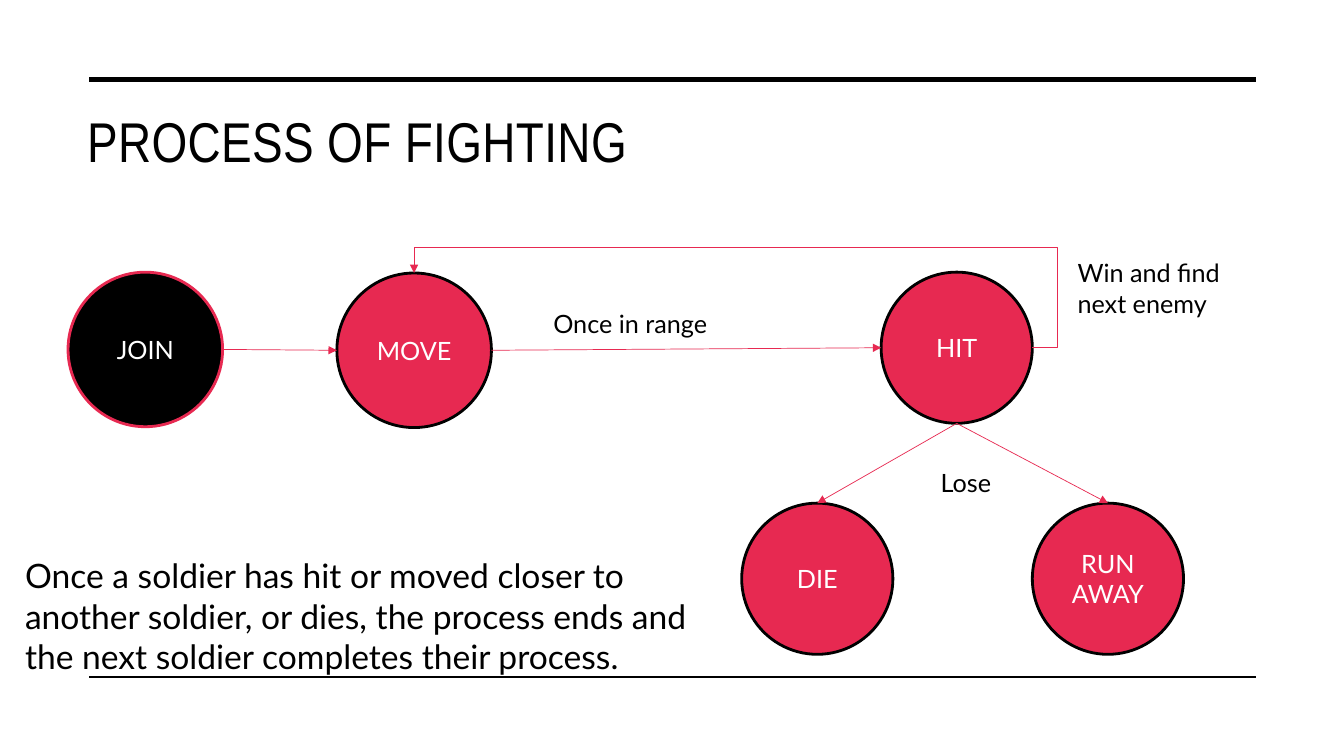
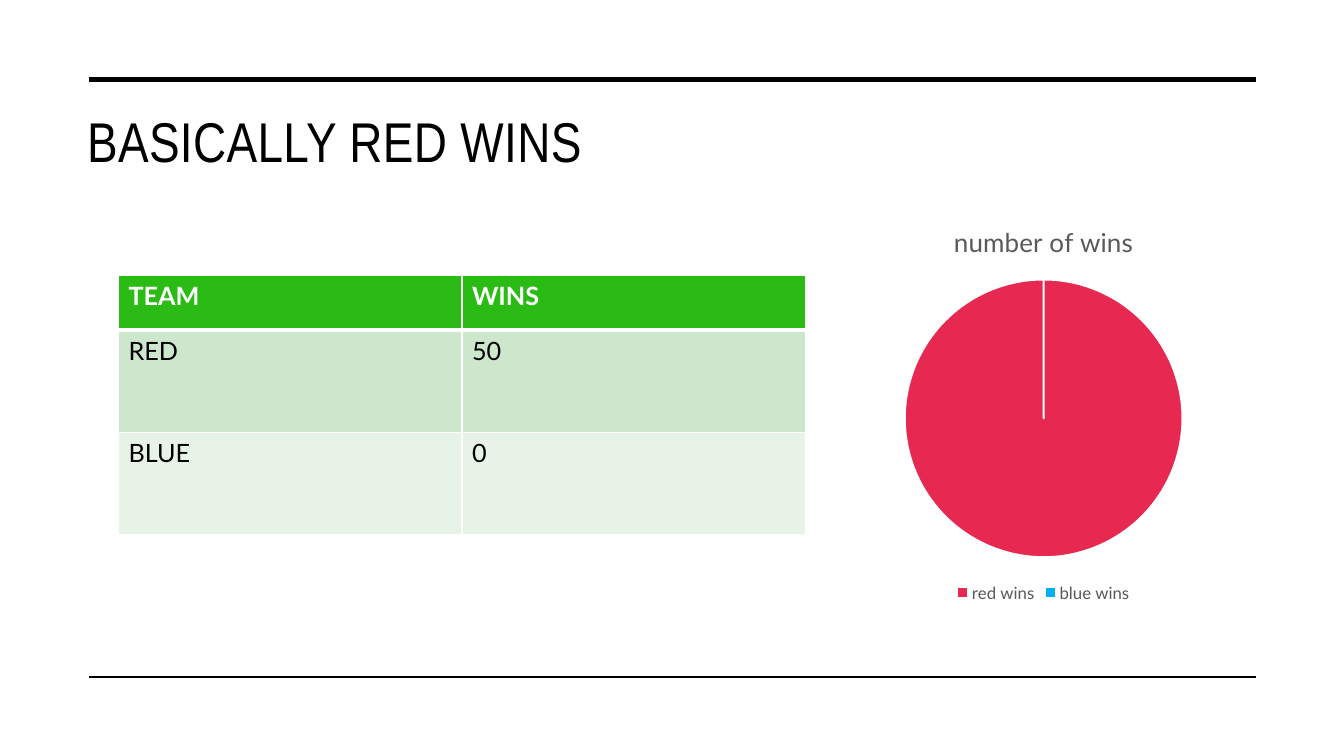
"""Build two slides: a fighting process diagram and its results."""
from dataclasses import dataclass

from lxml.etree import SubElement
from pptx import Presentation
from pptx.chart.data import CategoryChartData
from pptx.dml.color import RGBColor
from pptx.enum.chart import XL_CHART_TYPE as ChartType, XL_LEGEND_POSITION as LegendPosition
from pptx.enum.shapes import MSO_CONNECTOR as Connector, MSO_SHAPE as Shape
from pptx.enum.text import MSO_ANCHOR as Anchor, PP_ALIGN as Align
from pptx.oxml import parse_xml
from pptx.oxml.ns import nsdecls, qn
from pptx.util import Emu, Inches, Pt


@dataclass(frozen=True)
class Theme:
    """Colours, fonts and type sizes."""
    black: str = "000000"
    white: str = "FFFFFF"
    red: str = "E72951"
    blue: str = "00B0F0"
    grey: str = "595959"
    green: str = "2ABC14"
    bands: tuple = ("CDE7CC", "E8F3E7")
    title_font: str = "Arial Narrow"
    body_font: str = "Lato"
    title: float = 40
    lead: float = 24
    body: float = 18
    chart_title: float = 18.6
    legend: float = 12


THEME = Theme()
WIDTH, HEIGHT = Inches(13.333), Inches(7.5)
COLUMNS, ROWS = 16, 9
LEFT, RIGHT = 1.06, 14.95
ELLIPSE_SIDES = {"top": (0, 0.5, 0), "left": (2, 0, 0.5),
                 "bottom": (4, 0.5, 1), "right": (6, 1, 0.5)}


def rgb(colour):
    """Return a colour from its hex digits."""
    return RGBColor.from_string(colour)


def across(columns):
    """Convert grid columns to a length."""
    return Emu(round(columns * WIDTH / COLUMNS))


def down(rows):
    """Convert grid rows to a length."""
    return Emu(round(rows * HEIGHT / ROWS))


def area(left, top, width, height):
    """Convert a grid rectangle to lengths."""
    return across(left), down(top), across(width), down(height)


def style_font(font, size, colour, name=THEME.body_font, bold=False):
    """Set the usual properties of a font."""
    font.size, font.name, font.bold = Pt(size), name, bold
    font.color.rgb = rgb(colour)


def write_text(frame, text, *, size=THEME.body, colour=THEME.black, font=THEME.body_font,
               bold=False, align=Align.LEFT, anchor=Anchor.TOP, spacing=None):
    """Write one formatted paragraph into a text frame."""
    frame.word_wrap = True
    frame.vertical_anchor = anchor
    paragraph = frame.paragraphs[0]
    paragraph.alignment = align
    run = paragraph.add_run()
    run.text = text
    style_font(run.font, size, colour, font, bold)
    if spacing is not None:
        run.font._element.set("spc", str(round(spacing * 100)))


def add_label(slide, text, box, **text_format):
    """Add a text box on the grid."""
    shape = slide.shapes.add_textbox(*area(*box))
    write_text(shape.text_frame, text, **text_format)


def add_line(slide, start, end, colour, weight, kind=Connector.STRAIGHT):
    """Add a line without a shadow."""
    line = slide.shapes.add_connector(kind, *start, *end)
    line.line.color.rgb = rgb(colour)
    line.line.width = Pt(weight)
    SubElement(line._element.spPr, qn("a:effectLst"))
    return line


def add_state(slide, text, centre, diameter, fill=THEME.red, outline=THEME.black):
    """Add a round state around a grid point."""
    column, row = centre
    box = area(column - diameter / 2, row - diameter / 2, diameter, diameter)
    state = slide.shapes.add_shape(Shape.OVAL, *box)
    state.shadow.inherit = False
    state.fill.solid()
    state.fill.fore_color.rgb = rgb(fill)
    state.line.color.rgb = rgb(outline)
    state.line.width = Pt(2)
    write_text(state.text_frame, text, colour=THEME.white,
               align=Align.CENTER, anchor=Anchor.MIDDLE)
    return state


def add_arrow(slide, source, source_side, target, target_side, bends=None):
    """Join two states by an arrow, with optional bends."""
    points, joints = [], []
    for state, side in ((source, source_side), (target, target_side)):
        site, x_share, y_share = ELLIPSE_SIDES[side]
        points.append((Emu(round(state.left + state.width * x_share)),
                       Emu(round(state.top + state.height * y_share))))
        joints.append((state.shape_id, site))
    kind = Connector.ELBOW if bends else Connector.STRAIGHT
    arrow = add_line(slide, *points, THEME.red, 0.5, kind)
    SubElement(arrow.line._get_or_add_ln(), qn("a:tailEnd"), type="triangle")
    links = arrow._element.find(".//" + qn("p:cNvCxnSpPr"))
    for tag, (shape_id, site) in zip(("a:stCxn", "a:endCxn"), joints):
        SubElement(links, qn(tag), id=str(shape_id), idx=str(site))
    if bends:
        geometry = arrow._element.spPr.find(qn("a:prstGeom"))
        geometry.set("prst", "bentConnector4")
        guides = geometry.find(qn("a:avLst"))
        if guides is None:
            guides = SubElement(geometry, qn("a:avLst"))
        for number, share in enumerate(bends, 1):
            SubElement(guides, qn("a:gd"), name=f"adj{number}",
                       fmla=f"val {round(share * 100000)}")


def add_table(slide, rows, corner, column_width, row_heights):
    """Add a banded table with a header row."""
    total = area(*corner, column_width * len(rows[0]), sum(row_heights))
    table = slide.shapes.add_table(len(rows), len(rows[0]), *total).table
    for column in table.columns:
        column.width = across(column_width)
    fills = (THEME.green, *THEME.bands)
    for index, (values, height) in enumerate(zip(rows, row_heights)):
        header = index == 0
        table.rows[index].height = down(height)
        borders = {"L": 1, "R": 1, "T": 3 if index == 1 else 1, "B": 3 if header else 1}
        for cell, value in zip(table.rows[index].cells, values):
            write_text(cell.text_frame, value, bold=header,
                       colour=THEME.white if header else THEME.black)
            cell.fill.solid()
            cell.fill.fore_color.rgb = rgb(fills[index])
            set_borders(cell, borders)


def set_borders(cell, weights):
    """Draw white borders of given weights around a cell."""
    properties = cell._tc.get_or_add_tcPr()
    for position, (side, weight) in enumerate(weights.items()):
        properties.insert(position, parse_xml(
            f'<a:ln{side} {nsdecls("a")} w="{Pt(weight)}"><a:solidFill>'
            f'<a:srgbClr val="{THEME.white}"/></a:solidFill></a:ln{side}>'))


def add_pie(slide, title, values, colours, box):
    """Add a pie chart with a title and a legend."""
    data = CategoryChartData()
    data.categories = list(values)
    data.add_series(title, list(values.values()))
    chart = slide.shapes.add_chart(ChartType.PIE, *area(*box), data).chart
    style_font(chart.font, 10, THEME.black)
    chart.has_title = True
    write_text(chart.chart_title.text_frame, title, size=THEME.chart_title,
               colour=THEME.grey, align=Align.CENTER)
    chart.has_legend = True
    chart.legend.position = LegendPosition.BOTTOM
    chart.legend.include_in_layout = False
    style_font(chart.legend.font, THEME.legend, THEME.grey)
    plot = chart.plots[0]
    plot.vary_by_categories = True
    for index, colour in enumerate(colours):
        slice_format = plot.series[0].points[index].format
        slice_format.fill.solid()
        slice_format.fill.fore_color.rgb = rgb(colour)
        slice_format.line.color.rgb = rgb(THEME.white)
        slice_format.line.width = Pt(1.5)


def add_slide(presentation, title):
    """Add a slide with its two rules and title."""
    slide = presentation.slides.add_slide(presentation.slide_layouts[6])
    for row, weight in ((0.95, 3.5), (8.06, 1)):
        add_line(slide, (across(LEFT), down(row)), (across(RIGHT), down(row)),
                 THEME.black, weight)
    add_label(slide, title, (0.92, 1.21, 14.03, 1.8), size=THEME.title,
              font=THEME.title_font, spacing=0.3)
    return slide


def build_process(presentation):
    """Build the state diagram of a fight."""
    slide = add_slide(presentation, "PROCESS OF FIGHTING")
    large, small = 1.84, 1.8
    join = add_state(slide, "JOIN", (1.73, 4.16), large, THEME.black, THEME.red)
    move = add_state(slide, "MOVE", (4.93, 4.17), large)
    hit = add_state(slide, "HIT", (11.39, 4.14), small)
    die = add_state(slide, "DIE", (9.73, 6.89), small)
    run_away = add_state(slide, "RUN AWAY", (13.19, 6.89), small)
    add_arrow(slide, join, "right", move, "left")
    add_arrow(slide, move, "right", hit, "left")
    add_arrow(slide, hit, "right", move, "top", bends=(-0.04, 1.34))
    for outcome in (die, run_away):
        add_arrow(slide, hit, "bottom", outcome, "top")
    add_label(slide, "Once in range", (6.47, 3.61, 2.28, 0.49))
    add_label(slide, "Win and find next enemy", (12.71, 3.01, 2.36, 0.85))
    add_label(slide, "Lose", (11.08, 5.51, 1.3, 0.48))
    add_label(slide, "Once a soldier has hit or moved closer to another soldier, or dies, "
              "the process ends and the next soldier completes their process.",
              (0.18, 6.55, 8.57, 1.57), size=THEME.lead)


def build_results(presentation):
    """Build the table and chart of wins."""
    slide = add_slide(presentation, "BASICALLY RED WINS")
    add_pie(slide, "number of wins", {"red wins": 100, "blue wins": 0},
            (THEME.red, THEME.blue), (9.9, 2.44, 5.05, 4.78))
    add_table(slide, (("TEAM", "WINS"), ("RED", "50"), ("BLUE", "0")),
              (1.41, 3.28), 4.09, (0.65, 1.22, 1.22))


def main():
    """Build and save the presentation."""
    presentation = Presentation()
    presentation.slide_width, presentation.slide_height = WIDTH, HEIGHT
    build_process(presentation)
    build_results(presentation)
    presentation.save("out.pptx")


if __name__ == "__main__":
    main()
